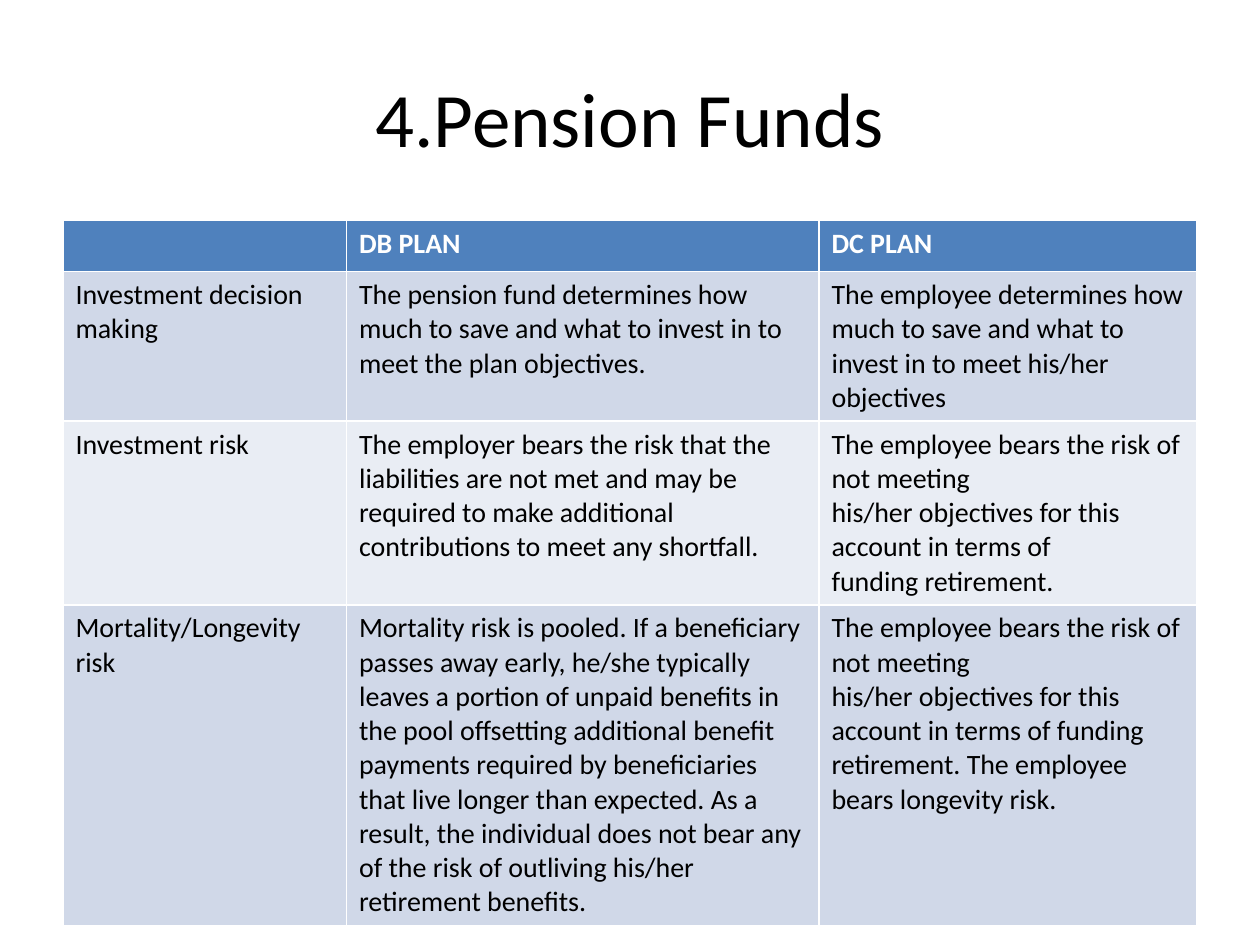
from pptx import Presentation
from pptx.dml.color import RGBColor
from pptx.enum.text import MSO_ANCHOR, PP_ALIGN
from pptx.util import Pt

CENTER, MIDDLE = PP_ALIGN.CENTER, MSO_ANCHOR.MIDDLE
FONT = "Calibri"
BLACK, WHITE = "000000", "FFFFFF"
HEADER_FILL = "4F81BD"
BAND_FILLS = ("D0D8E8", "E9EDF4")

TITLE = "4.Pension Funds"
COLUMN_WIDTHS = (162, 270, 216)
ROW_HEIGHT = 29.2
# A line break inside a cell starts a new paragraph.
ROWS = [
    ("", "DB PLAN", "DC PLAN"),
    ("Investment decision\nmaking",
     "The pension fund determines how much to save and what to invest in to "
     "meet the plan objectives.",
     "The employee determines how much to save and what to invest in to meet "
     "his/her objectives"),
    ("Investment risk",
     "The employer bears the risk that the liabilities are not met and may be "
     "required to make additional contributions to meet any shortfall.",
     "The employee bears the risk of not meeting\n"
     "his/her objectives for this account in terms of\n"
     "funding retirement."),
    ("Mortality/Longevity risk",
     "Mortality risk is pooled. If a beneficiary passes away early, he/she "
     "typically leaves a portion of unpaid benefits in the pool offsetting "
     "additional benefit payments required by beneficiaries that live longer "
     "than expected. As a result, the individual does not bear any\n"
     "of the risk of outliving his/her retirement benefits.",
     "The employee bears the risk of not meeting\n"
     "his/her objectives for this account in terms of funding retirement. "
     "The employee bears longevity risk."),
]


def rgb(value):
    """Turn a hex string into a colour."""
    return RGBColor.from_string(value)


def style(p, size, color, bold=False):
    """Set the font of a paragraph."""
    font = p.font
    font.name, font.size, font.bold = FONT, Pt(size), bold
    font.color.rgb = rgb(color)


def add_title(s):
    """Fill and place the title placeholder."""
    title = s.shapes.title
    title.left, title.top, title.width, title.height = (
        Pt(36), Pt(21.6), Pt(648), Pt(90))
    tf = title.text_frame
    tf.text, tf.vertical_anchor = TITLE, MIDDLE
    p = tf.paragraphs[0]
    p.alignment = CENTER
    style(p, 44, BLACK)


def add_plan_table(s):
    """Add the table that compares the two plans."""
    table = s.shapes.add_table(
        len(ROWS), len(COLUMN_WIDTHS), Pt(36), Pt(126),
        Pt(sum(COLUMN_WIDTHS)), Pt(ROW_HEIGHT * len(ROWS))).table
    for column, width in zip(table.columns, COLUMN_WIDTHS):
        column.width = Pt(width)
    for i, texts in enumerate(ROWS):
        header = i == 0
        fill = HEADER_FILL if header else BAND_FILLS[(i - 1) % 2]
        table.rows[i].height = Pt(ROW_HEIGHT)
        for j, text in enumerate(texts):
            cell = table.cell(i, j)
            cell.fill.solid()
            cell.fill.fore_color.rgb = rgb(fill)
            cell.text = text
            for p in cell.text_frame.paragraphs:
                style(p, 16, WHITE if header else BLACK, header)


prs = Presentation()
prs.slide_width, prs.slide_height = Pt(720), Pt(540)
s = prs.slides.add_slide(prs.slide_layouts[5])
add_title(s)
add_plan_table(s)
prs.save("out.pptx")
